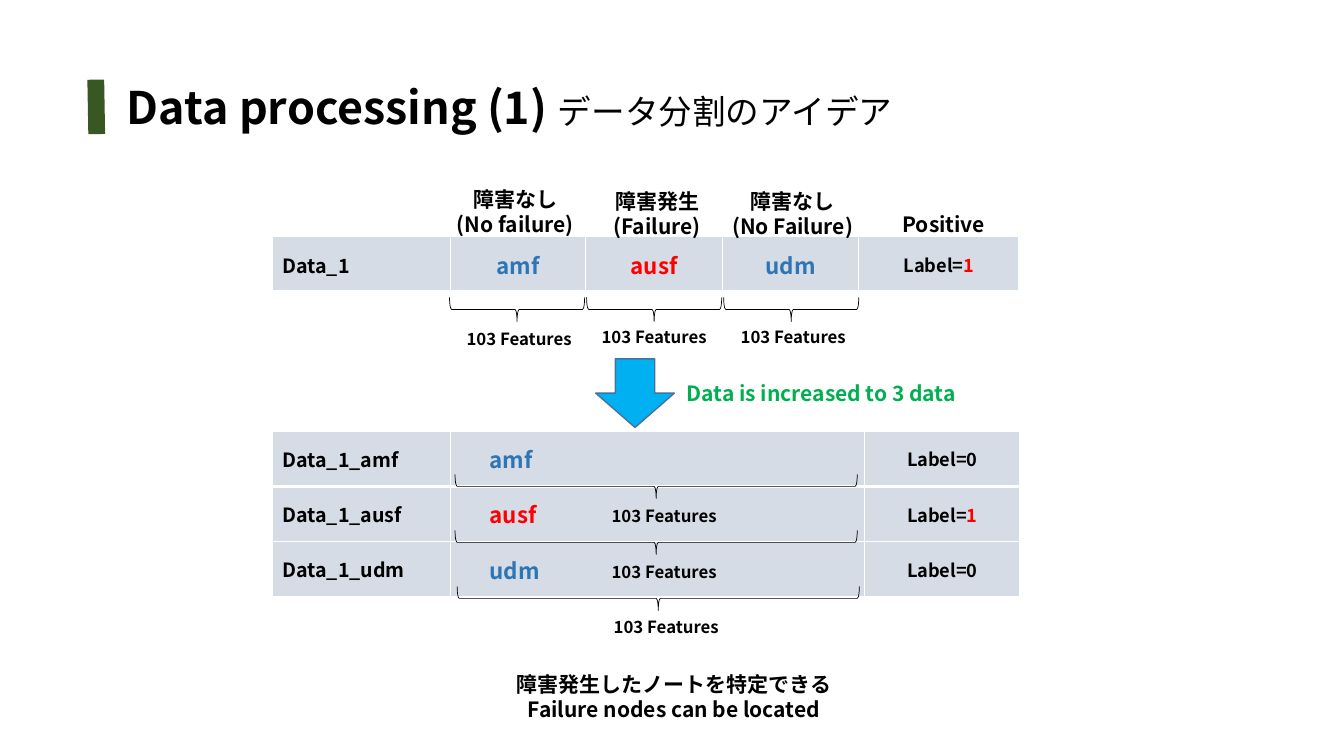
from lxml.etree import SubElement
from pptx import Presentation
from pptx.dml.color import RGBColor
from pptx.enum.shapes import MSO_CONNECTOR as Connector, MSO_SHAPE as Shape
from pptx.enum.text import MSO_ANCHOR as Anchor, MSO_AUTO_SIZE as AutoSize, PP_ALIGN as Align
from pptx.oxml.ns import qn
from pptx.util import Pt

THEME = dict(
    font="Noto Sans CJK JP", black="000000", blue="2E75B6", red="FF0000",
    green="00B050", bar="385723", cell="D6DCE5", white="FFFFFF",
    arrow="00B0F0", arrow_line="43739E",
    title=32, subtitle=24, node=16, heading=15, name=14, label=13, note=12)

# A run is (text, size, colour); each table row is a list of cells made of runs.
TITLE = [("Data processing (1) ", "title", "black"), ("データ分割のアイデア", "subtitle", "black")]


def name(text):
    return [(text, "name", "black")]


def node(text, colour):
    return [(text, "node", colour)]


def label(value, colour):
    return [("Label=", "label", "black"), (value, "label", colour)]


JOINED = [[name("Data_1"), node("amf", "blue"), node("ausf", "red"),
           node("udm", "blue"), label("1", "red")]]
SPLIT = [[name("Data_1_amf"), node("amf", "blue"), label("0", "black")],
         [name("Data_1_ausf"), node("ausf", "red"), label("1", "red")],
         [name("Data_1_udm"), node("udm", "blue"), label("0", "black")]]
# Lines, size, colour, (left, top, width, height)
CAPTIONS = [
    (["障害なし", "(No failure)"], "heading", "black", (317.5, 129.6, 101, 44)),
    (["障害発生", "(Failure)"], "heading", "black", (419, 131, 101, 44)),
    (["障害なし", "(No Failure)"], "heading", "black", (498.2, 131, 136, 44)),
    (["Positive"], "heading", "black", (606.2, 147.6, 136, 25)),
    (["Data is increased to 3 data"], "heading", "green", (469.4, 268.6, 234.7, 44)),
    (["障害発生したノートを特定できる", "Failure nodes can be located"],
     "heading", "black", (358.6, 476, 245.5, 62)),
]
FEATURES = "103 Features"
JOINED_NOTES = [(326.2, 231), (422.6, 229.7), (522, 229.7)]
SPLIT_NOTES = [(429.8, 357.8), (429.8, 397.4), (431.3, 437)]
TABLE_LEFT, ROW_HEIGHT, NODE_INDENT = 194.4, 39.4, 28


def colour(key):
    return RGBColor.from_string(THEME[key])


def write(paragraph, runs, align=Align.LEFT, bold=True):
    paragraph.alignment = align
    for text, size, shade in runs:
        run = paragraph.add_run()
        run.text = text
        formats = dict(name=THEME["font"], size=Pt(THEME[size]),
                       bold=bold and size != "subtitle")
        for key, value in formats.items():
            setattr(run.font, key, value)
        run.font.color.rgb = colour(shade)
        SubElement(run.font._element, qn("a:ea"), typeface=THEME["font"])


def add_text(slide, lines, size, shade, box, align=Align.CENTER):
    frame = slide.shapes.add_textbox(*map(Pt, box)).text_frame
    frame.word_wrap = True
    for index, line in enumerate(lines):
        paragraph = frame.add_paragraph() if index else frame.paragraphs[0]
        write(paragraph, [(line, size, shade)], align)


def border(cell, bottom):
    """Draw white cell borders; the fill must be set afterwards."""
    properties = cell._tc.get_or_add_tcPr()
    for side, width in dict(lnL=1, lnR=1, lnT=1, lnB=bottom).items():
        line = SubElement(properties, qn(f"a:{side}"), w=str(Pt(width)))
        fill = SubElement(line, qn("a:solidFill"))
        SubElement(fill, qn("a:srgbClr"), val=THEME["white"])


def add_table(slide, rows, top, widths, node_align, node_indent=7.2):
    frame = slide.shapes.add_table(len(rows), len(widths), Pt(TABLE_LEFT), Pt(top),
                                   Pt(sum(widths)), Pt(ROW_HEIGHT * len(rows)))
    table = frame.table
    for column, width in zip(table.columns, widths):
        column.width = Pt(width)
    for row_index, row in enumerate(rows):
        for column_index, runs in enumerate(row):
            cell = table.cell(row_index, column_index)
            cell.vertical_anchor = Anchor.MIDDLE
            align = Align.CENTER
            if column_index == 0:
                align = Align.LEFT
            elif column_index < len(widths) - 1:
                align = node_align
                cell.margin_left = Pt(node_indent)
            write(cell.text_frame.paragraphs[0], runs, align)
            border(cell, bottom=1 if row_index else 3)
            cell.fill.solid()
            cell.fill.fore_color.rgb = colour("cell")


def add_brace(slide, center_x, center_y, span, depth=17.3):
    """Add a brace that opens upwards, centred on the given point."""
    brace = slide.shapes.add_shape(
        Shape.LEFT_BRACE, Pt(center_x - depth / 2), Pt(center_y - span / 2), Pt(depth), Pt(span))
    brace.rotation = 270
    brace.shadow.inherit = False
    brace.fill.background()
    brace.line.color.rgb = colour("black")
    brace.line.width = Pt(0.5)


def add_title(slide):
    bar = slide.shapes.add_connector(Connector.STRAIGHT, Pt(68.4), Pt(56.9), Pt(69.1), Pt(95.8))
    bar.line.color.rgb = colour("bar")
    bar.line.width = Pt(12)
    SubElement(bar._element.spPr, qn("a:effectLst"))
    title = slide.shapes.title
    for key, value in dict(left=83.5, top=53.3, width=640, height=46).items():
        setattr(title, key, Pt(value))
    frame = title.text_frame
    for key, value in dict(auto_size=AutoSize.NONE, word_wrap=True,
                           vertical_anchor=Anchor.TOP).items():
        setattr(frame, key, value)
    write(frame.paragraphs[0], TITLE)


def main():
    presentation = Presentation()
    presentation.slide_width, presentation.slide_height = Pt(960), Pt(540)
    slide = presentation.slides.add_slide(presentation.slide_layouts[5])
    add_title(slide)
    add_table(slide, JOINED, 169.2, [127.4, 96.5, 97.9, 97.2, 114.5], Align.CENTER)
    add_table(slide, SPLIT, 308.2, [127.4, 295.9, 110.9], Align.LEFT, NODE_INDENT)
    for caption in CAPTIONS:
        add_text(slide, *caption)
    for index in range(3):
        add_brace(slide, 369.4 + 97.9 * index, 221, 96.5)
        add_brace(slide, 470.2 if index == 2 else 468.7, 347.4 + 40 * index, 287.3)
    for left, top in JOINED_NOTES + SPLIT_NOTES:
        add_text(slide, [FEATURES], "note", "black", (left, top, 95, 22), Align.LEFT)

    arrow = slide.shapes.add_shape(Shape.DOWN_ARROW, Pt(425.5), Pt(256.3), Pt(56.2), Pt(49))
    arrow.shadow.inherit = False
    arrow.fill.solid()
    arrow.fill.fore_color.rgb = colour("arrow")
    arrow.line.color.rgb = colour("arrow_line")
    arrow.line.width = Pt(1)
    presentation.save("out.pptx")


if __name__ == "__main__":
    main()
